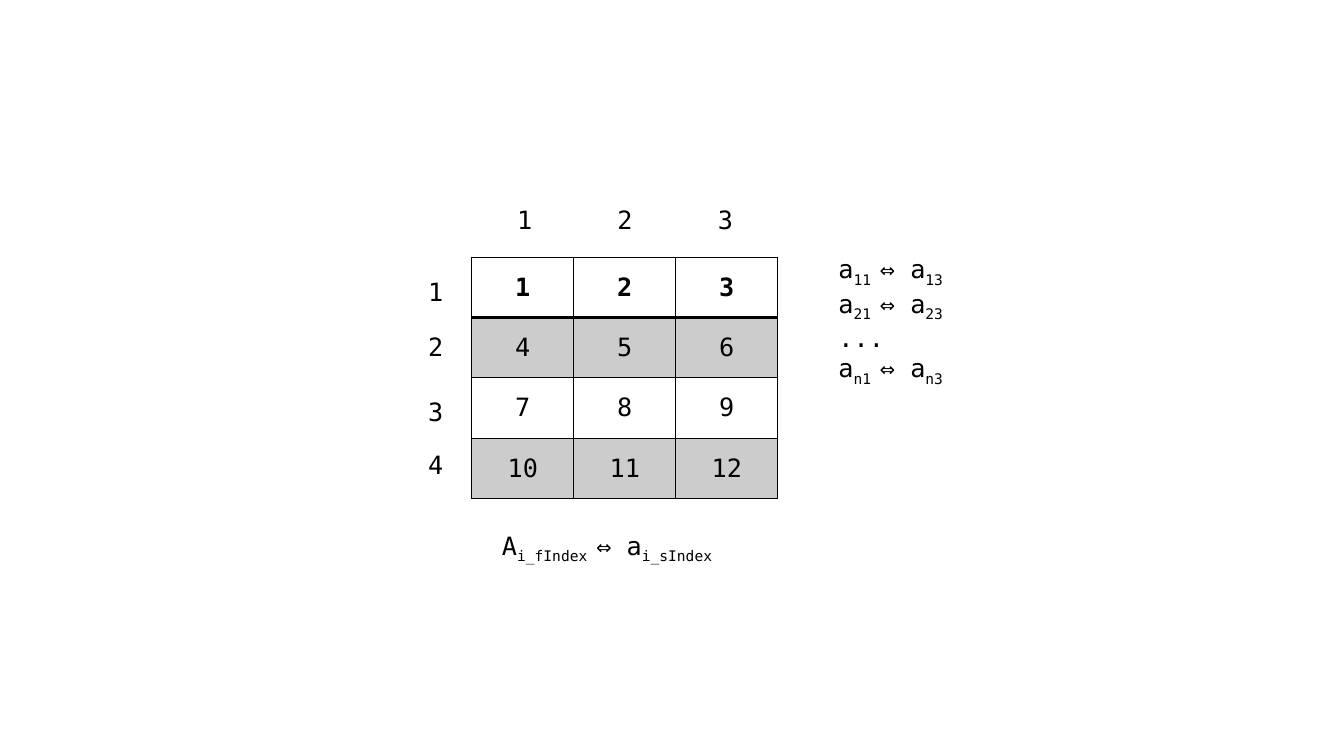
import pptx
import pptx.dml.color
import pptx.enum.text
import pptx.oxml.ns
import pptx.util
from lxml import etree

Cm = pptx.util.Cm
Pt = pptx.util.Pt
qn = pptx.oxml.ns.qn
BLACK = pptx.dml.color.RGBColor(0x00, 0x00, 0x00)
FONT = "DejaVu Sans Mono"
SUBSCRIPT = "-25000"


def add_run(p, text, bold=False, sub=False):
    """Append one formatted run to a paragraph, optionally as a subscript."""
    r = p.add_run()
    r.text = text
    r.font.name = FONT
    r.font.size = Pt(18)
    r.font.bold = bold
    r.font.color.rgb = BLACK
    if sub:
        r.font._element.set("baseline", SUBSCRIPT)


def add_text(s, left, top, width, height, lines, wrap=False):
    """Add a text box; each line lists runs that alternate normal and subscript."""
    sp = s.shapes.add_textbox(Cm(left), Cm(top), Cm(width), Cm(height))
    tf = sp.text_frame
    tf.word_wrap = wrap
    tf.auto_size = pptx.enum.text.MSO_AUTO_SIZE.SHAPE_TO_FIT_TEXT
    for i, line in enumerate(lines):
        p = tf.add_paragraph() if i else tf.paragraphs[0]
        for j, text in enumerate(line):
            add_run(p, text, sub=j % 2 == 1)


prs = pptx.Presentation()
prs.slide_width = Cm(33.87)
prs.slide_height = Cm(19.05)
s = prs.slides.add_slide(prs.slide_layouts[6])

# Matrix
ROWS, COLS = 4, 3
COL_WIDTH, ROW_HEIGHT = 2.57, 1.52
frame = s.shapes.add_table(ROWS, COLS, Cm(11.89), Cm(6.48),
                           Cm(COLS * COL_WIDTH), Cm(ROWS * ROW_HEIGHT))
table = frame.table
table.first_row = False
table.horz_banding = False
for col in table.columns:
    col.width = Cm(COL_WIDTH)
for row in table.rows:
    row.height = Cm(ROW_HEIGHT)

for i in range(ROWS):
    for j in range(COLS):
        cell = table.cell(i, j)
        cell.vertical_anchor = pptx.enum.text.MSO_ANCHOR.MIDDLE
        p = cell.text_frame.paragraphs[0]
        p.alignment = pptx.enum.text.PP_ALIGN.CENTER
        add_run(p, str(i * COLS + j + 1), bold=i == 0)

        tc_pr = cell._tc.get_or_add_tcPr()
        for side in ("L", "R", "T", "B"):
            under_header = (i, side) in ((0, "B"), (1, "T"))
            ln = etree.SubElement(tc_pr, qn("a:ln" + side),
                                  w=str(int(Pt(2 if under_header else 1))))
            line_fill = etree.SubElement(ln, qn("a:solidFill"))
            etree.SubElement(line_fill, qn("a:srgbClr"), val=str(BLACK))

        if i % 2:
            cell.fill.solid()
            cell.fill.fore_color.rgb = BLACK
            color = tc_pr.find(qn("a:solidFill")).find(qn("a:srgbClr"))
            etree.SubElement(color, qn("a:alpha"), val="20000")
        else:
            cell.fill.background()

# Column and row numbers
for j in range(COLS):
    add_text(s, 12.78 + j * 2.53, 5.03, 0.86, 1.02, [[str(j + 1)]])
for i, top in enumerate((6.83, 8.23, 9.86, 11.2)):
    add_text(s, 10.54, top, 0.86, 1.02, [[str(i + 1)]])

# Swap of the first and last column, row by row
swaps = [["a", n + "1 ", "⇔ a", n + "3"] for n in ("1", "2", "n")]
swaps.insert(2, ["..."])
add_text(s, 20.88, 6.27, 3.56, 4.11, swaps)

# General rule
add_text(s, 12.4, 13.23, 6.68, 1.02,
         [["A", "i_fIndex ", "⇔ a", "i_sIndex"]], wrap=True)

prs.save("out.pptx")
